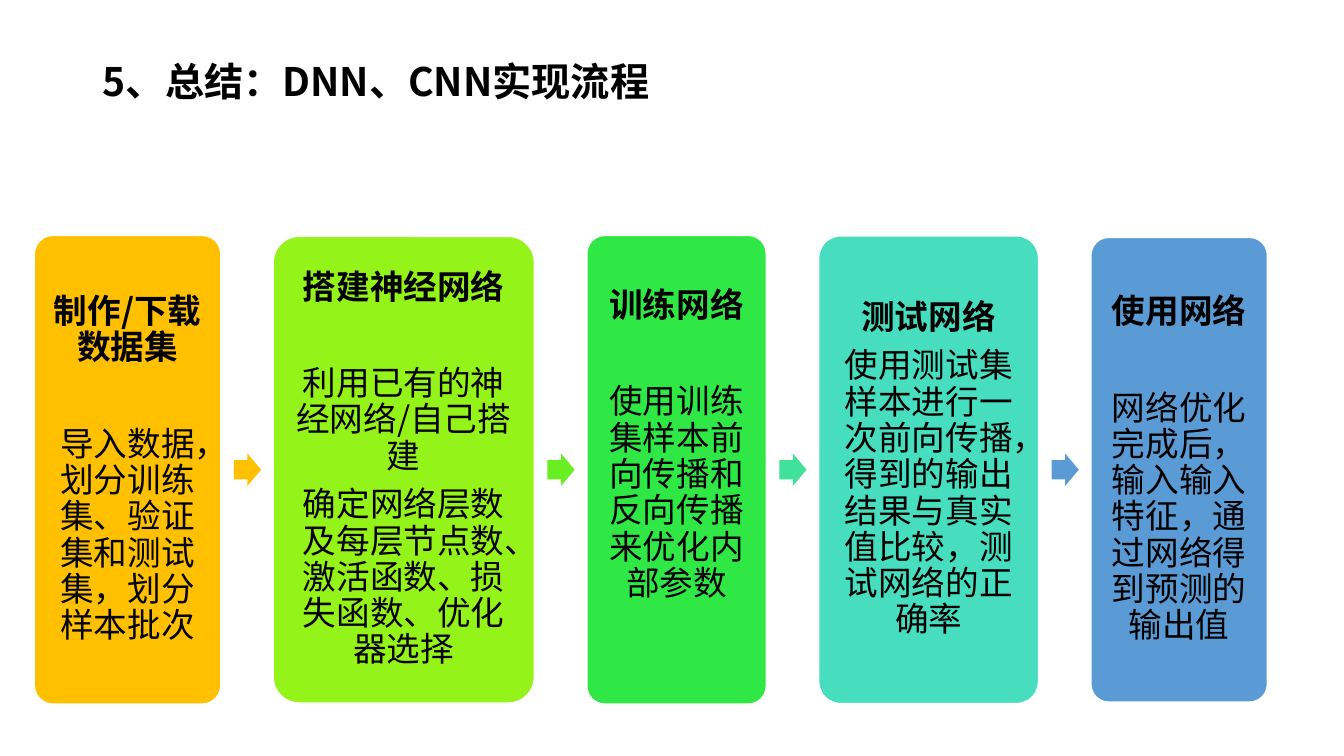
import dataclasses

import lxml.etree
import pptx
import pptx.dml.color
import pptx.enum.shapes
import pptx.enum.text
import pptx.oxml.ns
import pptx.util

SHAPES = pptx.enum.shapes.MSO_SHAPE
ALIGN = pptx.enum.text.PP_ALIGN
ANCHOR = pptx.enum.text.MSO_ANCHOR


@dataclasses.dataclass(frozen=True)
class Theme:
    font: str = "Noto Sans CJK SC"
    text: str = "000000"
    card_line: str = "FFFFFF"
    title_size: int = 28
    card_size: int = 24
    line_spacing: float = 0.9
    paragraph_gap: float = 8.8
    heading_gap: float = 43


@dataclasses.dataclass(frozen=True)
class Step:
    heading: str
    details: tuple
    color: str
    columns: int
    rows: int
    arrow_color: str = ""
    heading_gap: float = Theme.heading_gap
    bottom_inset: int = 10


THEME = Theme()
# The grid has 1333 columns and 750 rows of 0.01 inch.
CELL = pptx.util.Inches(0.01)
SLIDE_COLUMNS, SLIDE_ROWS = 1333, 750
FIRST_COLUMN, MIDDLE_ROW = 34, 466
STEP_GAP, ARROW_OFFSET = 52, 13
ARROW_COLUMNS, ARROW_ROWS = 27, 32
INSET = 10

TITLE = "5、总结：DNN、CNN实现流程"
STEPS = (
    Step("制作/下载数据集",
         ("导入数据，划分训练集、验证集和测试集，划分样本批次",),
         "FFC000", 185, 465, "FFC000"),
    Step("搭建神经网络",
         ("利用已有的神经网络/自己搭建",
          "确定网络层数及每层节点数、激活函数、损失函数、优化器选择"),
         "94F319", 259, 463, "67EF21"),
    Step("训练网络",
         ("使用训练集样本前向传播和反向传播来优化内部参数",),
         "30E845", 178, 465, "3FE19B", bottom_inset=58),
    Step("测试网络",
         ("使用测试集样本进行一次前向传播，得到的输出结果与真实值比较，测试网络的正确率",),
         "46DEBF", 218, 464, "5B9BD5", heading_gap=THEME.paragraph_gap),
    Step("使用网络",
         ("网络优化完成后，输入输入特征，通过网络得到预测的输出值",),
         "5B9BD5", 175, 461),
)


def rgb(color):
    return pptx.dml.color.RGBColor.from_string(color)


def apply_format(target, values):
    for attribute, value in values.items():
        setattr(target, attribute, value)


def write_paragraph(paragraph, text, size, bold, layout):
    """Fill a paragraph, giving Latin and East Asian letters the same font."""
    apply_format(paragraph, layout)
    run = paragraph.add_run()
    run.text = text
    apply_format(run.font, {"size": pptx.util.Pt(size), "bold": bold, "name": THEME.font})
    run.font.color.rgb = rgb(THEME.text)
    east_asian = lxml.etree.SubElement(run._r.get_or_add_rPr(), pptx.oxml.ns.qn("a:ea"))
    east_asian.set("typeface", THEME.font)


def place_title(slide):
    title = slide.shapes.title
    apply_format(title, {"left": 92 * CELL, "top": 52 * CELL,
                         "width": 661 * CELL, "height": 57 * CELL})
    apply_format(title.text_frame, {"word_wrap": True, "vertical_anchor": ANCHOR.MIDDLE,
                                    "auto_size": pptx.enum.text.MSO_AUTO_SIZE.NONE})
    write_paragraph(title.text_frame.paragraphs[0], TITLE, THEME.title_size, True,
                    {"alignment": ALIGN.LEFT})


def add_block(slide, preset, column, columns, rows, color, adjustments):
    """Add a filled shape centred on the middle row of the process."""
    block = slide.shapes.add_shape(preset, column * CELL, int((MIDDLE_ROW - rows / 2) * CELL),
                                   columns * CELL, rows * CELL)
    block.shadow.inherit = False
    block.fill.solid()
    block.fill.fore_color.rgb = rgb(color)
    block.line.fill.background()
    for index, share in enumerate(adjustments):
        block.adjustments[index] = share
    return block


def add_card(slide, step, column):
    card = add_block(slide, SHAPES.ROUNDED_RECTANGLE, column, step.columns, step.rows,
                     step.color, [0.1])
    card.line.color.rgb = rgb(THEME.card_line)
    card.line.width = pptx.util.Pt(1)
    frame = card.text_frame
    apply_format(frame, {"word_wrap": True, "vertical_anchor": ANCHOR.MIDDLE,
                         "margin_left": INSET * CELL, "margin_right": INSET * CELL,
                         "margin_top": INSET * CELL, "margin_bottom": step.bottom_inset * CELL})
    layout = {"alignment": ALIGN.CENTER, "line_spacing": THEME.line_spacing}
    write_paragraph(frame.paragraphs[0], step.heading, THEME.card_size, True,
                    {**layout, "space_after": pptx.util.Pt(step.heading_gap)})
    for detail in step.details:
        write_paragraph(frame.add_paragraph(), detail, THEME.card_size, False,
                        {**layout, "space_after": pptx.util.Pt(THEME.paragraph_gap)})


def add_process(slide):
    column = FIRST_COLUMN
    for step in STEPS:
        add_card(slide, step, column)
        column += step.columns
        if step.arrow_color:
            add_block(slide, SHAPES.RIGHT_ARROW, column + ARROW_OFFSET, ARROW_COLUMNS,
                      ARROW_ROWS, step.arrow_color, [0.6, 0.5])
        column += STEP_GAP


def main():
    deck = pptx.Presentation()
    apply_format(deck, {"slide_width": SLIDE_COLUMNS * CELL, "slide_height": SLIDE_ROWS * CELL})
    slide = deck.slides.add_slide(deck.slide_layouts.get_by_name("Title Only"))
    place_title(slide)
    add_process(slide)
    deck.save("out.pptx")


if __name__ == "__main__":
    main()
